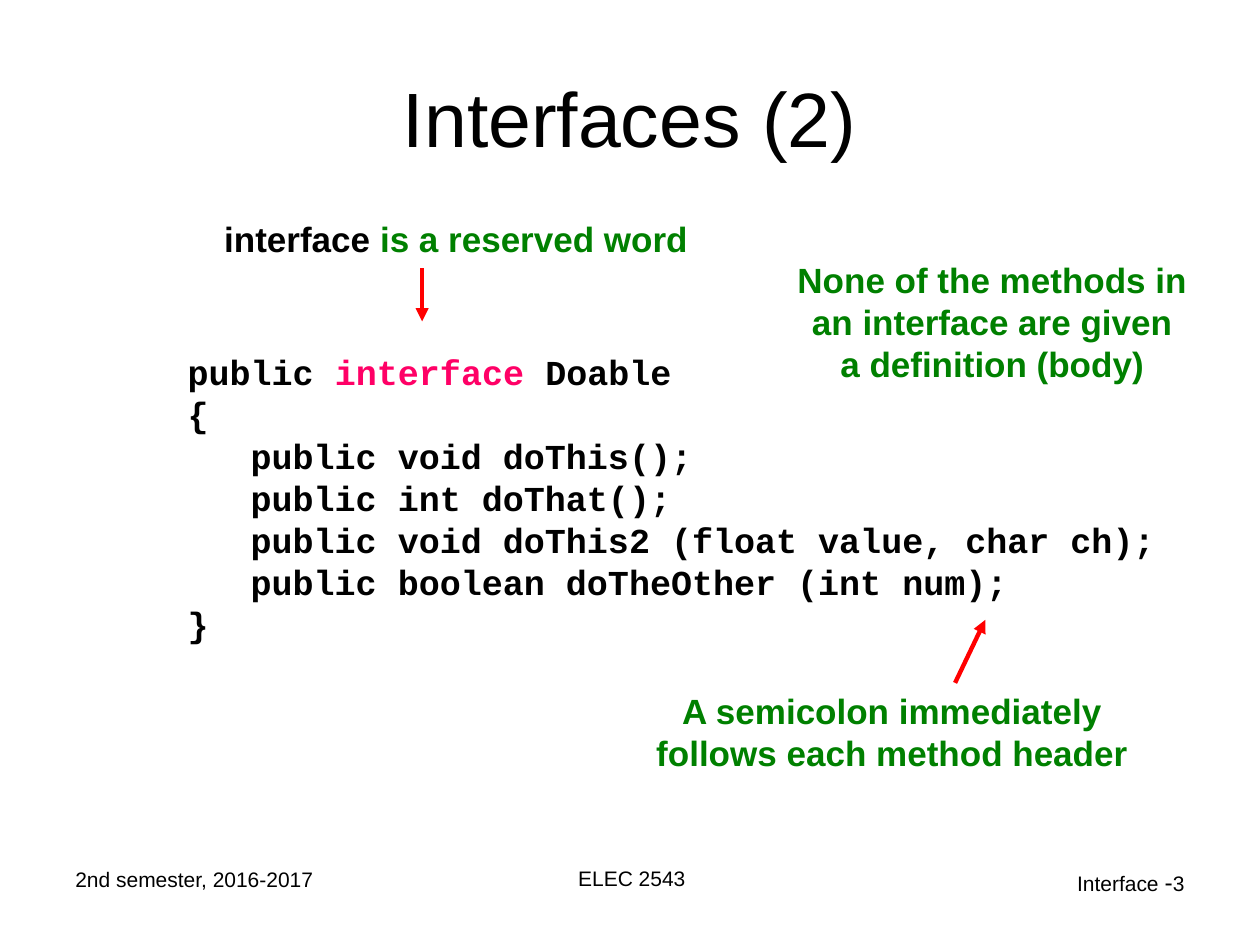
from dataclasses import dataclass

from lxml.etree import SubElement
from pptx import Presentation
from pptx.dml.color import RGBColor
from pptx.enum.shapes import MSO_CONNECTOR as Connector
from pptx.enum.text import MSO_ANCHOR as Anchor, MSO_AUTO_SIZE as AutoSize, PP_ALIGN as Align
from pptx.oxml.ns import qn
from pptx.util import Inches, Pt

BLACK = RGBColor(0x00, 0x00, 0x00)
GREEN = RGBColor(0x00, 0x80, 0x00)
RED = RGBColor(0xFF, 0x00, 0x00)
PINK = RGBColor(0xFF, 0x00, 0x66)

# Grid of the slide: 100 columns by 75 rows of square cells
COLUMNS, ROWS = 100, 75
CELL = Inches(0.1)


def cells(count: float) -> int:
    return round(count * CELL)


@dataclass(frozen=True)
class Run:
    text: str
    color: RGBColor = BLACK
    size: float = 20
    font: str = "Arial"
    bold: bool = True


@dataclass(frozen=True)
class TextBlock:
    column: float
    row: float
    width: float
    height: float
    lines: list[list[Run]]
    align: Align = Align.CENTER
    anchor: Anchor = Anchor.MIDDLE
    wrap: bool = False


@dataclass(frozen=True)
class Arrow:
    start: tuple[float, float]
    end: tuple[float, float]


def draw_text(shapes, block: TextBlock) -> None:
    box = shapes.add_textbox(*map(cells, (block.column, block.row, block.width, block.height)))
    frame = box.text_frame
    frame.word_wrap = block.wrap
    frame.auto_size = AutoSize.NONE if block.wrap else AutoSize.SHAPE_TO_FIT_TEXT
    frame.vertical_anchor = block.anchor
    for index, line in enumerate(block.lines):
        paragraph = frame.add_paragraph() if index else frame.paragraphs[0]
        paragraph.alignment = block.align
        for part in line:
            run = paragraph.add_run()
            run.text = part.text
            run.font.name = part.font
            run.font.size = Pt(part.size)
            run.font.bold = part.bold
            run.font.color.rgb = part.color


def draw_arrow(shapes, arrow: Arrow) -> None:
    pointer = shapes.add_connector(Connector.STRAIGHT, *map(cells, arrow.start + arrow.end))
    pointer.line.color.rgb = RED
    pointer.line.width = Pt(2.5)
    SubElement(pointer.line._get_or_add_ln(), qn("a:tailEnd"), type="triangle")
    SubElement(pointer._element.spPr, qn("a:effectLst"))


def draw_callout(shapes, block: TextBlock, arrow: Arrow) -> None:
    callout = shapes.add_group_shape()
    draw_text(callout.shapes, block)
    draw_arrow(callout.shapes, arrow)


def code(text: str, color: RGBColor = BLACK) -> Run:
    return Run(text, color, font="Courier New")


def small(text: str, size: float = 12) -> Run:
    return Run(text, size=size, bold=False)


def footer(column: float, row: float, width: float, runs: list[Run], align: Align) -> TextBlock:
    return TextBlock(column, row, width, 5.2, [runs], align, Anchor.TOP, wrap=True)


TITLE = TextBlock(5, 3, 90, 12.5, [[Run("Interfaces (2)", size=44, bold=False)]], wrap=True)

DECLARATION = TextBlock(
    13.9, 27.3, 78.8, 24.4,
    [[code("public "), code("interface", PINK), code(" Doable")]]
    + [[code(line)] for line in (
        "{",
        "   public void doThis();",
        "   public int doThat();",
        "   public void doThis2 (float value, char ch);",
        "   public boolean doTheOther (int num);",
        "}",
    )],
    align=Align.LEFT,
)

RESERVED_WORD = TextBlock(
    16.8, 16.7, 38.8, 4.4, [[Run("interface "), Run("is a reserved word", GREEN)]])

NO_BODY = TextBlock(
    62.3, 20, 32.9, 11,
    [[Run(line, GREEN)] for line in (
        "None of the methods in", "an interface are given", "a definition (body)")])

SEMICOLON = TextBlock(
    51.1, 54.2, 39.4, 7.7,
    [[Run(line, GREEN)] for line in ("A semicolon immediately", "follows each method header")])

FOOTERS = [
    footer(5, 68.3, 23.3, [small("2nd semester, 2016-2017")], Align.LEFT),
    footer(34.3, 68.2, 31.7, [small("ELEC 2543")], Align.CENTER),
    footer(71.7, 68.3, 23.3, [small("Interface "), small("-", 14), small("3")], Align.RIGHT),
]


def main() -> None:
    deck = Presentation()
    deck.slide_width, deck.slide_height = cells(COLUMNS), cells(ROWS)
    shapes = deck.slides.add_slide(deck.slide_layouts[6]).shapes

    # Title and code
    draw_text(shapes, TITLE)
    draw_text(shapes, DECLARATION)

    # Remarks on the code
    draw_callout(shapes, RESERVED_WORD, Arrow((33.5, 21.3), (33.5, 25.5)))
    draw_text(shapes, NO_BODY)
    draw_callout(shapes, SEMICOLON, Arrow((75.8, 54.2), (78.2, 49.2)))

    # Footer line
    for block in FOOTERS:
        draw_text(shapes, block)

    deck.save("out.pptx")


if __name__ == "__main__":
    main()
